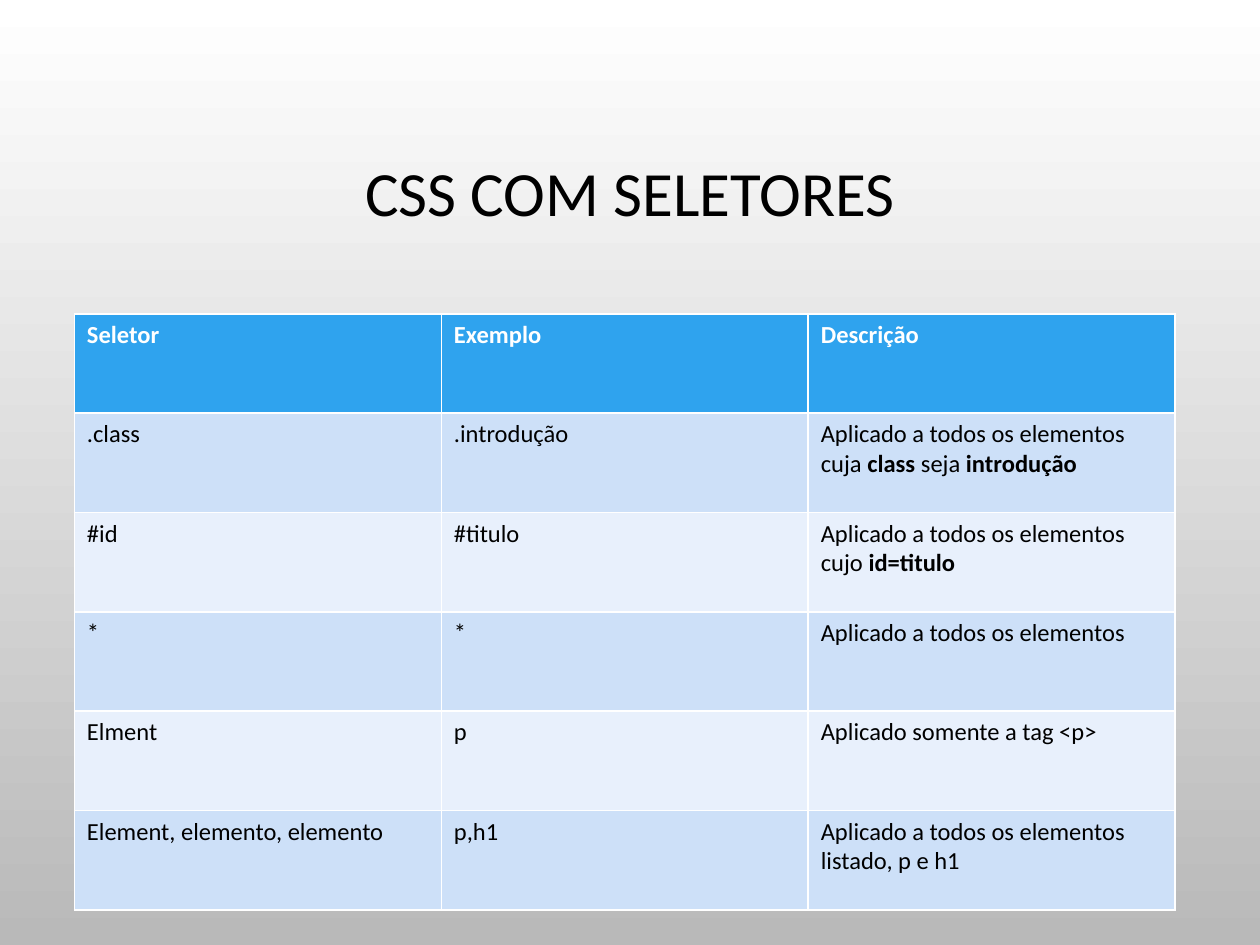
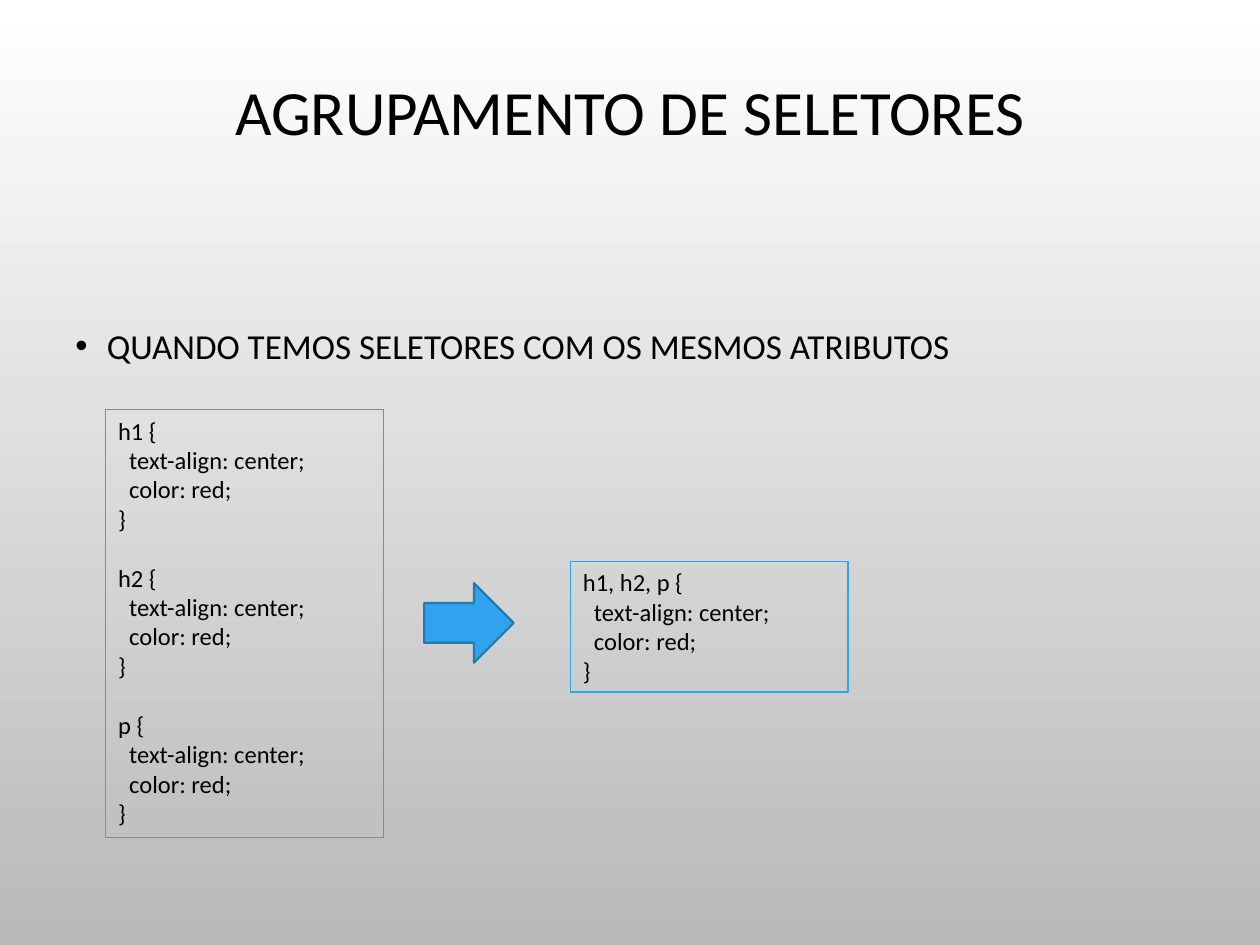
from dataclasses import dataclass

from lxml import etree
from pptx import Presentation
from pptx.dml.color import RGBColor
from pptx.enum.shapes import MSO_SHAPE
from pptx.enum.text import MSO_ANCHOR, MSO_AUTO_SIZE, PP_ALIGN
from pptx.oxml.ns import qn
from pptx.util import Pt

CENTER, LEFT = PP_ALIGN.CENTER, PP_ALIGN.LEFT
MIDDLE, TOP = MSO_ANCHOR.MIDDLE, MSO_ANCHOR.TOP
RECT, ARROW = MSO_SHAPE.RECTANGLE, MSO_SHAPE.RIGHT_ARROW
NO_FIT = MSO_AUTO_SIZE.NONE


@dataclass(frozen=True)
class Theme:
    font: str = "Calibri"
    head: int = 36
    lead: int = 20
    body: int = 14
    black: RGBColor = RGBColor(0, 0, 0)
    white: RGBColor = RGBColor(255, 255, 255)
    gray: RGBColor = RGBColor.from_string("B9B9B9")
    edge: RGBColor = RGBColor.from_string("8A8A8A")
    blue: RGBColor = RGBColor.from_string("2FA3EE")
    navy: RGBColor = RGBColor.from_string("2379B0")
    bands: tuple = (RGBColor.from_string("CDE0F8"), RGBColor.from_string("E8F0FC"))


theme = Theme()


def add_run(para, text, size, color=theme.black, bold=False):
    run = para.add_run()
    run.text = text
    font = run.font
    font.name, font.size, font.bold = theme.font, Pt(size), bold
    font.color.rgb = color


def add_page(title, box):
    """Add a title-only slide with its title placed in box, in points."""
    page = deck.slides.add_slide(deck.slide_layouts[5])
    head = page.shapes.title
    head.left, head.top, head.width, head.height = map(Pt, box)
    frame = head.text_frame
    frame.auto_size, frame.vertical_anchor = NO_FIT, MIDDLE
    para = frame.paragraphs[0]
    para.alignment, para.line_spacing = CENTER, 0.9
    add_run(para, title, theme.head)
    return page


deck = Presentation()
deck.slide_width, deck.slide_height = Pt(720), Pt(540)
back = deck.slide_master.background.fill
back.gradient()
back.gradient_angle = 270
for stop, color, place in zip(back.gradient_stops, (theme.white, theme.gray), (0, 1)):
    stop.color.rgb, stop.position = color, place

# Slide 1: table of selectors; each cell is a list of runs, odd ones bold
page = add_page("CSS COM SELETORES", (54, 49, 612, 126))
rows = [
    (["Seletor"], ["Exemplo"], ["Descrição"]),
    ([".class"], [".introdução"],
     ["Aplicado a todos os elementos cuja ", "class", " seja ", "introdução"]),
    (["#id"], ["#titulo"], ["Aplicado a todos os elementos cujo ", "id=titulo"]),
    (["*"], ["*"], ["Aplicado a todos os elementos"]),
    (["Elment"], ["p"], ["Aplicado somente a tag <p>"]),
    (["Element, elemento, elemento"], ["p,h1"],
     ["Aplicado a todos os elementos listado, p e h1"]),
]
table = page.shapes.add_table(
    len(rows), 3, Pt(42.5), Pt(179.3), Pt(629.1), Pt(340.8)).table
for r, row in enumerate(rows):
    for c, runs in enumerate(row):
        cell = table.cell(r, c)
        cell.fill.solid()
        cell.fill.fore_color.rgb = theme.bands[(r - 1) % 2] if r else theme.blue
        for i, text in enumerate(runs):
            add_run(cell.text_frame.paragraphs[0], text, theme.body,
                    theme.black if r else theme.white, bold=r == 0 or i % 2 == 1)

# Slide 2: three rules merged into one
page = add_page("AGRUPAMENTO DE SELETORES", (36, 21, 648, 90))
frame = page.shapes.add_textbox(Pt(36), Pt(177), Pt(648), Pt(59)).text_frame
frame.word_wrap = True
para = frame.paragraphs[0]
props = para._p.get_or_add_pPr()
props.set("marL", str(Pt(18)))
props.set("indent", str(Pt(-18)))
etree.SubElement(props, qn("a:buFont"), typeface="Arial")
etree.SubElement(props, qn("a:buChar"), char="•")
para.line_spacing = 1.2
add_run(para, "QUANDO TEMOS SELETORES COM OS MESMOS ATRIBUTOS", theme.lead)

rule = " {\n  text-align: center;\n  color: red;\n}"
codes = [
    ("\n\n".join(tag + rule for tag in ("h1", "h2", "p")),
     (60.4, 233.9, 158.6, 244.6), theme.edge),
    ("h1, h2, p" + rule, (326, 320.7, 158.6, 74.8), theme.blue),
]
for code, box, color in codes:
    shape = page.shapes.add_shape(RECT, *map(Pt, box))
    shape.shadow.inherit = False
    shape.fill.background()
    shape.line.color.rgb, shape.line.width = color, Pt(0.75)
    frame = shape.text_frame
    frame.word_wrap, frame.vertical_anchor = True, TOP
    para = frame.paragraphs[0]
    para.alignment = LEFT
    para.font.size = Pt(theme.body)
    for i, line in enumerate(code.split("\n")):
        if i:
            para.add_line_break()
        if line:
            add_run(para, line, theme.body)

arrow = page.shapes.add_shape(ARROW, Pt(242.4), Pt(333.3), Pt(51.2), Pt(45.4))
arrow.shadow.inherit = False
arrow.fill.solid()
arrow.fill.fore_color.rgb = theme.blue
arrow.line.color.rgb, arrow.line.width = theme.navy, Pt(1.25)

deck.save("out.pptx")
